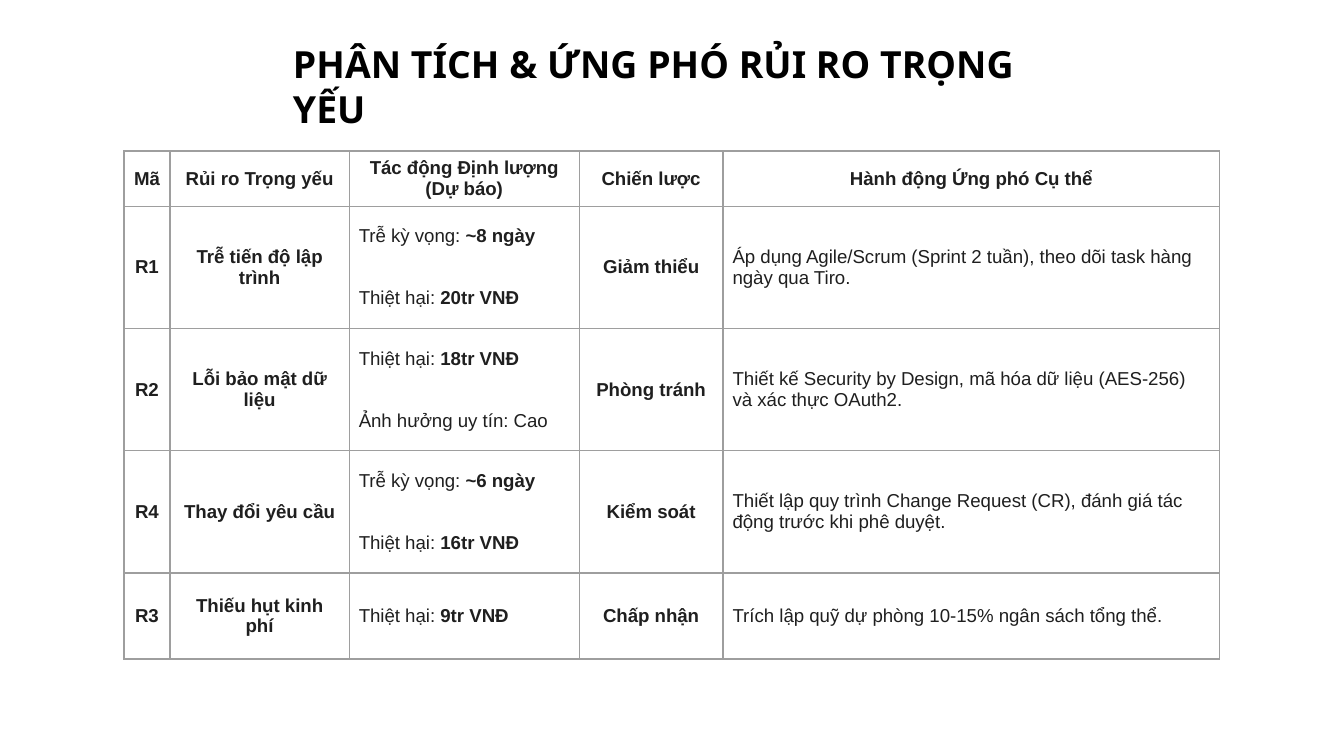
import pptx
import pptx.util
import pptx.dml.color
import pptx.enum.text
import pptx.oxml
import pptx.oxml.ns
from pptx.enum.text import MSO_ANCHOR, PP_ALIGN

BLACK = pptx.dml.color.RGBColor(0x00, 0x00, 0x00)
INK = pptx.dml.color.RGBColor(0x1F, 0x1F, 0x1F)
RULE = pptx.dml.color.RGBColor(0x9E, 0x9E, 0x9E)

TITLE = "PHÂN TÍCH & ỨNG PHÓ RỦI RO TRỌNG YẾU"
HEADER = ["Mã", "Rủi ro Trọng yếu", "Tác động Định lượng (Dự báo)",
          "Chiến lược", "Hành động Ứng phó Cụ thể"]
# In the impact column, text after a bar is bold and a list holds paragraphs
RISKS = [
    ["R1", "Trễ tiến độ lập trình",
     ["Trễ kỳ vọng: |~8 ngày", "Thiệt hại: |20tr VNĐ"], "Giảm thiểu",
     "Áp dụng Agile/Scrum (Sprint 2 tuần), theo dõi task hàng ngày qua Tiro."],
    ["R2", "Lỗi bảo mật dữ liệu",
     ["Thiệt hại: |18tr VNĐ", "Ảnh hưởng uy tín: Cao"], "Phòng tránh",
     "Thiết kế Security by Design, mã hóa dữ liệu (AES-256) và xác thực OAuth2."],
    ["R4", "Thay đổi yêu cầu",
     ["Trễ kỳ vọng: |~6 ngày", "Thiệt hại: |16tr VNĐ"], "Kiểm soát",
     "Thiết lập quy trình Change Request (CR), đánh giá tác động trước khi phê duyệt."],
    ["R3", "Thiếu hụt kinh phí", ["Thiệt hại: |9tr VNĐ"], "Chấp nhận",
     "Trích lập quỹ dự phòng 10-15% ngân sách tổng thể."],
]
COLS = [3.43, 13.33, 17.12, 10.7, 36.95]
ROWS = [3.7, 9.1, 9.1, 9.1, 6.4]


def write(tf, paragraphs, size=10, font="Arial", color=INK, bold=False,
          align=PP_ALIGN.LEFT, gap=0):
    """Fill a text frame; text after a bar in a paragraph is bold."""
    for i, text in enumerate(paragraphs):
        p = tf.paragraphs[0] if i == 0 else tf.add_paragraph()
        p.alignment = align
        if i:
            p.space_before = pptx.util.Pt(gap)
        for j, part in enumerate(text.split("|")):
            r = p.add_run()
            r.text = part
            r.font.name = font
            r.font.size = pptx.util.Pt(size)
            r.font.bold = bold or j > 0
            r.font.color.rgb = color


class Deck:
    """Style and current slide; lengths are in cells of a 100-column grid."""

    def __init__(self, prs):
        self.unit = prs.slide_width / 100
        self.s = prs.slides.add_slide(prs.slide_layouts[5])

    def grid(self, *cells):
        return [pptx.util.Emu(round(c * self.unit)) for c in cells]

    def title(self, text, *box):
        sp = self.s.shapes.title
        sp.left, sp.top, sp.width, sp.height = self.grid(*box)
        tf = sp.text_frame
        tf.word_wrap = True
        tf.auto_size = pptx.enum.text.MSO_AUTO_SIZE.NONE
        tf.vertical_anchor = MSO_ANCHOR.TOP
        write(tf, [text], size=20, font="Noto Sans", color=BLACK, bold=True)

    def border(self, cell):
        tc_pr = cell._tc.get_or_add_tcPr()
        for side in ("lnL", "lnR", "lnT", "lnB"):
            tc_pr.append(pptx.oxml.parse_xml(
                f'<a:{side} {pptx.oxml.ns.nsdecls("a")} w="{pptx.util.Pt(0.75)}">'
                f'<a:solidFill><a:srgbClr val="{RULE}"/></a:solidFill></a:{side}>'))

    def cell(self, cell, content, heading):
        self.border(cell)
        cell.fill.background()
        cell.vertical_anchor = MSO_ANCHOR.MIDDLE
        cell.margin_left, cell.margin_right = self.grid(0.72, 0.72)
        cell.margin_top, cell.margin_bottom = self.grid(0.5, 0.5)
        paragraphs = content if isinstance(content, list) else [content]
        write(cell.text_frame, paragraphs, bold=heading, gap=22,
              align=PP_ALIGN.CENTER if heading else PP_ALIGN.LEFT)

    def table(self, left, top, cols, rows, records):
        box = self.grid(left, top, sum(cols), sum(rows))
        table = self.s.shapes.add_table(len(rows), len(cols), *box).table
        table.first_row = table.horz_banding = False
        for column, width in zip(table.columns, self.grid(*cols)):
            column.width = width
        for row, height in zip(table.rows, self.grid(*rows)):
            row.height = height
        for i, record in enumerate(records):
            for j, content in enumerate(record):
                self.cell(table.cell(i, j), content, i == 0 or j in (0, 1, 3))


def main():
    prs = pptx.Presentation()
    # Widescreen 16:9
    prs.slide_width = pptx.util.Inches(10)
    prs.slide_height = prs.slide_width * 9 // 16
    deck = Deck(prs)
    # Title
    deck.title(TITLE, 20.8, 2.6, 58.5, 4.4)
    # Risk table
    deck.table(9.22, 11.24, COLS, ROWS, [HEADER] + RISKS)
    prs.save("out.pptx")


if __name__ == "__main__":
    main()
